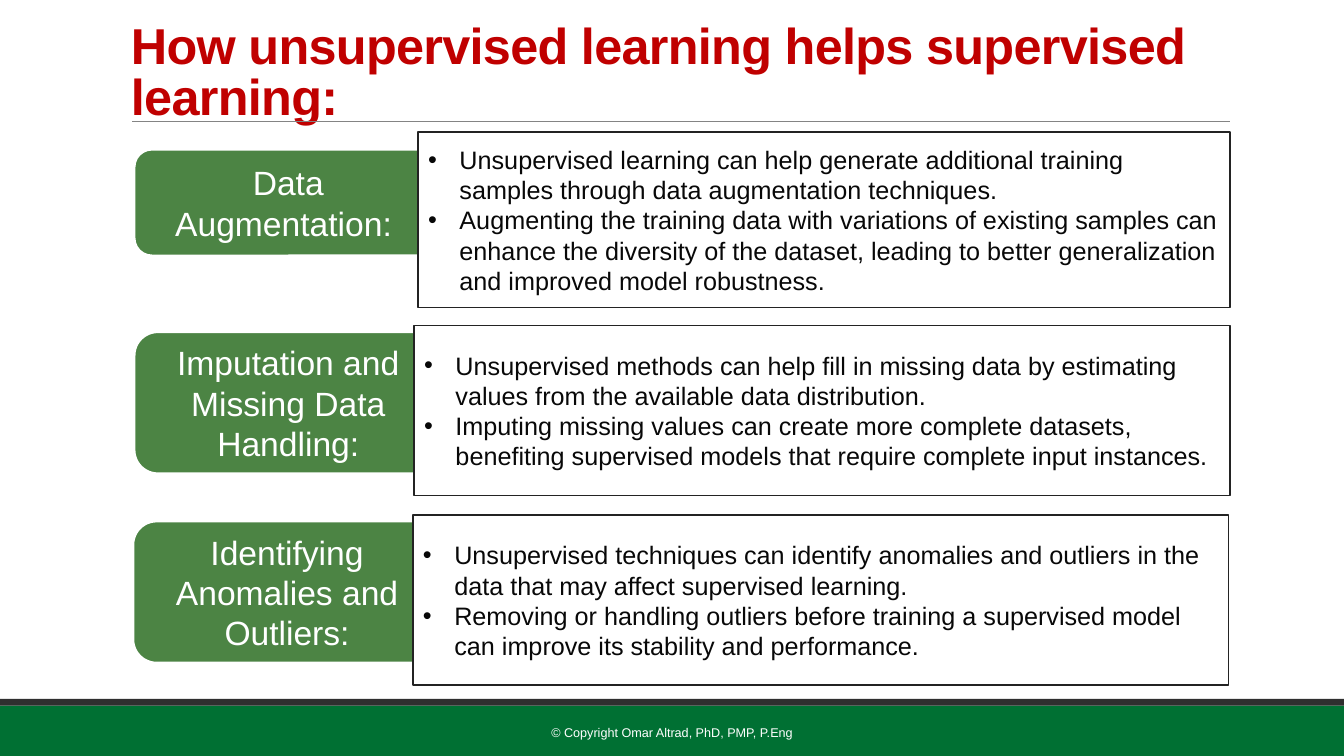
from lxml.etree import SubElement
from pptx import Presentation
from pptx.dml.color import RGBColor
from pptx.enum.shapes import MSO_CONNECTOR, MSO_SHAPE
from pptx.enum.text import MSO_ANCHOR, PP_ALIGN
from pptx.oxml.ns import qn
from pptx.util import Cm, Pt

COLORS = {
    "title": "C00000", "rule": "848484", "green": "4C8444", "footer": "007033",
    "band": "2F2F2F", "border": "232323", "text": "080808", "white": "FFFFFF",
}
SLIDE_W, SLIDE_H = 33.87, 19.05

# Label, label box, detail box (left, top, width, height in cm), bullets
TOPICS = [
    ("Data Augmentation: ", (3.38, 3.76, 7.77, 2.69), (10.54, 3.33, 20.45, 4.42), [
        "Unsupervised learning can help generate additional training samples "
        "through data augmentation techniques.",
        "Augmenting the training data with variations of existing samples can "
        "enhance the diversity of the dataset, leading to better generalization "
        "and improved model robustness.",
    ]),
    ("Imputation and Missing Data Handling:", (3.38, 8.36, 7.77, 3.58), (10.44, 8.2, 20.55, 4.29), [
        "Unsupervised methods can help fill in missing data by estimating values "
        "from the available data distribution.",
        "Imputing missing values can create more complete datasets, benefiting "
        "supervised models that require complete input instances.",
    ]),
    ("Identifying Anomalies and Outliers:", (3.35, 13.13, 7.77, 3.58), (10.41, 12.98, 20.55, 4.29), [
        "Unsupervised techniques can identify anomalies and outliers in the data "
        "that may affect supervised learning.",
        "Removing or handling outliers before training a supervised model can "
        "improve its stability and performance.",
    ]),
]


def rgb(name):
    return RGBColor.from_string(COLORS[name])


def write(tf, lines, size, color, align, **font):
    frame = {"word_wrap": True, "vertical_anchor": MSO_ANCHOR.MIDDLE,
             "margin_left": Cm(0.25), "margin_right": Cm(0.25),
             "margin_top": Cm(0.13), "margin_bottom": Cm(0.13)}
    for key, value in frame.items():
        setattr(tf, key, value)
    for i, line in enumerate(lines):
        p = tf.paragraphs[0] if i == 0 else tf.add_paragraph()
        p.alignment = align
        r = p.add_run()
        r.text = line
        for key, value in {"name": "Arial", "size": Pt(size), **font}.items():
            setattr(r.font, key, value)
        r.font.color.rgb = rgb(color)


def add_box(s, kind, box, fill, line=None, width=0):
    sp = s.shapes.add_shape(kind, *map(Cm, box))
    sp.shadow.inherit = False
    sp.fill.solid()
    sp.fill.fore_color.rgb = rgb(fill)
    if line:
        sp.line.color.rgb = rgb(line)
        sp.line.width = Pt(width)
    else:
        sp.line.fill.background()
    return sp


def add_bullet(p):
    pPr = p._p.get_or_add_pPr()
    pPr.set("marL", str(Cm(0.79)))
    pPr.set("indent", str(-Cm(0.79)))
    SubElement(pPr, qn("a:buFont")).set("typeface", "Arial")
    SubElement(pPr, qn("a:buChar")).set("char", "•")


def add_footer(s, top):
    add_box(s, MSO_SHAPE.RECTANGLE, (0, top, SLIDE_W, SLIDE_H - top), "footer")
    add_box(s, MSO_SHAPE.RECTANGLE, (0, top - 0.17, SLIDE_W, 0.17), "band")
    tb = s.shapes.add_textbox(Cm(10.24), Cm(top + 0.17), Cm(13.39), Cm(1.01))
    write(tb.text_frame, ["© Copyright Omar Altrad, PhD, PMP, P.Eng"], 9, "white", PP_ALIGN.CENTER)


def add_title(s, text, left, top, width, height):
    # Thin rule under the title
    y = Cm(top + height + 0.08)
    rule = s.shapes.add_connector(MSO_CONNECTOR.STRAIGHT, Cm(left + 0.28), y, Cm(left + width), y)
    rule.line.color.rgb = rgb("rule")
    rule.line.width = Pt(0.5)
    SubElement(rule._element.spPr, qn("a:effectLst"))

    # Title placeholder
    sp = s.shapes.title
    sp.left, sp.top, sp.width, sp.height = map(Cm, (left, top, width, height))
    write(sp.text_frame, [text], 36, "title", PP_ALIGN.LEFT, bold=True)
    p = sp.text_frame.paragraphs[0]
    p.line_spacing = 0.85
    p.runs[0].font._element.set("spc", "-50")


def add_topic(s, label, label_box, detail_box, bullets):
    sp = add_box(s, MSO_SHAPE.ROUNDED_RECTANGLE, label_box, "green", "white", 2)
    write(sp.text_frame, [label], 24, "white", PP_ALIGN.CENTER)
    sp = add_box(s, MSO_SHAPE.RECTANGLE, detail_box, "white", "border", 1.25)
    write(sp.text_frame, bullets, 18, "text", PP_ALIGN.LEFT)
    for p in sp.text_frame.paragraphs:
        add_bullet(p)


def main():
    prs = Presentation()
    prs.slide_width, prs.slide_height = Cm(SLIDE_W), Cm(SLIDE_H)
    s = prs.slides.add_slide(prs.slide_layouts[5])
    add_footer(s, 17.78)
    add_title(s, "How unsupervised learning helps supervised learning:", 3.05, 0.79, 27.94, 2.18)
    for topic in TOPICS:
        add_topic(s, *topic)
    prs.save("out.pptx")


if __name__ == "__main__":
    main()
